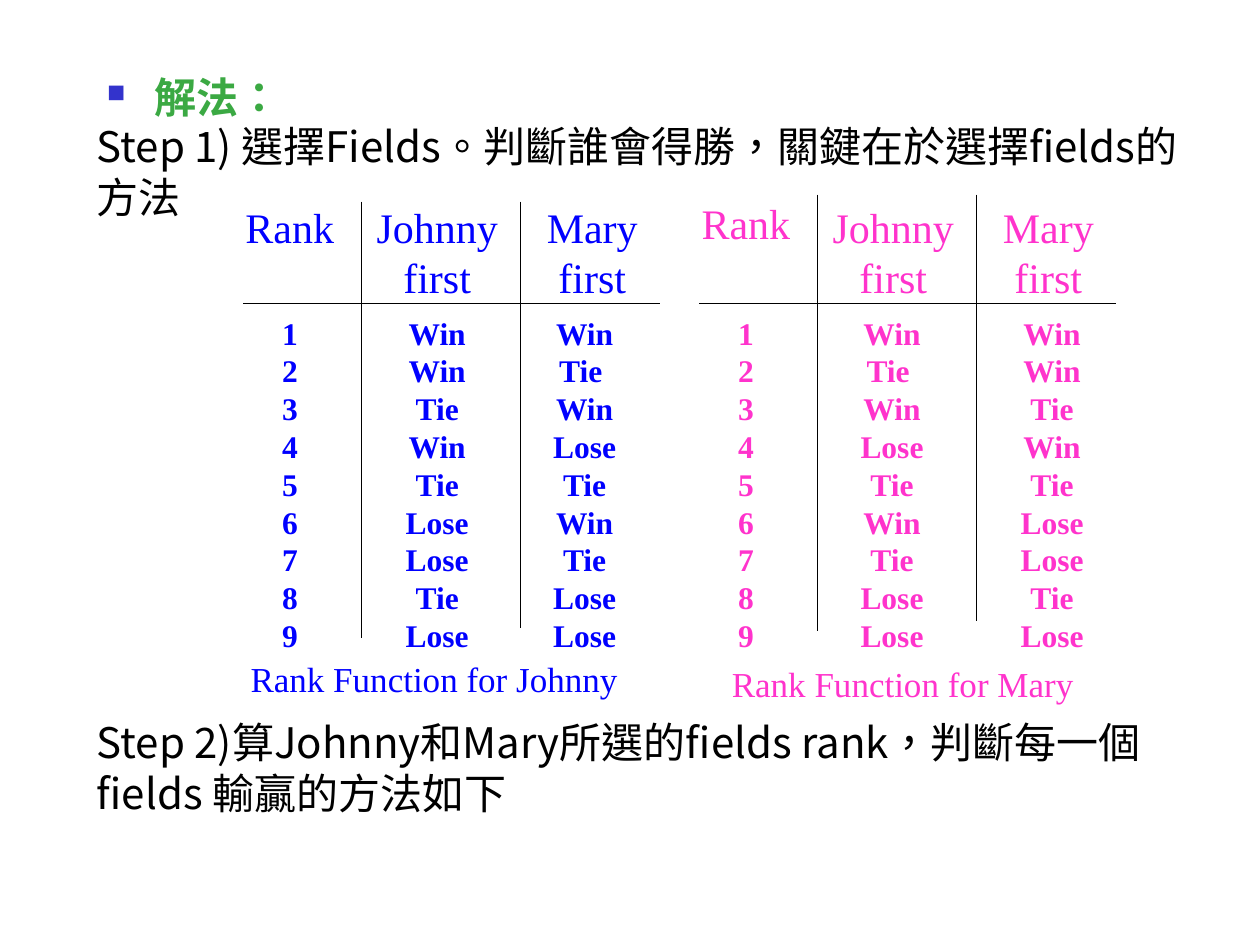
from lxml import etree
from pptx import Presentation
from pptx.dml.color import RGBColor
from pptx.enum.shapes import MSO_CONNECTOR
from pptx.enum.text import MSO_AUTO_SIZE, PP_ALIGN
from pptx.oxml.ns import qn
from pptx.util import Inches, Pt

STRAIGHT = MSO_CONNECTOR.STRAIGHT
LEFT, CENTER = PP_ALIGN.LEFT, PP_ALIGN.CENTER
GROW, FIXED = MSO_AUTO_SIZE.SHAPE_TO_FIT_TEXT, MSO_AUTO_SIZE.NONE

WIDTH, HEIGHT = Inches(10), Inches(7.5)
COLUMNS, ROWS = 100, 75
SERIF, SANS = "Times New Roman", "Noto Sans CJK SC"
COLORS = {
    "johnny": "0000FF",
    "mary": "FF33CC",
    "heading": "3BA943",
    "bullet": "3333CC",
    "ink": "000000",
}

HEADER = {"name": SERIF, "size": Pt(24), "bold": False}
OUTCOME = {"name": SERIF, "size": Pt(18), "bold": True}
CAPTION = {"name": SERIF, "size": Pt(20), "bold": False}
HEADING = {"name": SERIF, "size": Pt(24), "bold": True}
STEP = {"name": SANS, "size": Pt(24), "bold": False}

RANKS = [str(rank) for rank in range(1, 10)]
OWN_FIRST = ["Win", "Win", "Tie", "Win", "Tie", "Lose", "Lose", "Tie", "Lose"]
OTHER_FIRST = ["Win", "Tie ", "Win", "Lose", "Tie", "Win", "Tie", "Lose", "Lose"]

PANELS = [
    {"player": "Johnny", "color": "johnny", "left": 19.3,
     "outcomes": [(11.9, OWN_FIRST), (23.6, OTHER_FIRST)],
     "rank_top": 15.5, "rule_top": 16, "caption": (-0.4, 51.7, 32)},
    {"player": "Mary", "color": "mary", "left": 55.5,
     "outcomes": [(11.8, OTHER_FIRST), (24.5, OWN_FIRST)],
     "rank_top": 15.2, "rule_top": 15.45, "caption": (1.6, 52.1, 30)},
]


def across(columns):
    return round(WIDTH * columns / COLUMNS)


def down(rows):
    return round(HEIGHT * rows / ROWS)


def add_text(shapes, lines, place, style, color, align=LEFT, wrap=False, size=GROW):
    left, top, width, height = place
    box = shapes.add_textbox(across(left), down(top), across(width), down(height))
    frame = box.text_frame
    frame.text = "\n".join(lines)
    for key, value in {"word_wrap": wrap, "auto_size": size}.items():
        setattr(frame, key, value)
    for paragraph in frame.paragraphs:
        paragraph.alignment = align
        for run in paragraph.runs:
            for key, value in style.items():
                setattr(run.font, key, value)
            run.font.color.rgb = RGBColor.from_string(COLORS[color])
            properties = run.font._element
            properties.set("lang", "zh-TW")
            east_asian = etree.Element(qn("a:ea"), typeface=SANS)
            properties.find(qn("a:latin")).addnext(east_asian)
    return frame


def add_rule(shapes, start, end):
    rule = shapes.add_connector(
        STRAIGHT, across(start[0]), down(start[1]), across(end[0]), down(end[1]))
    rule.line.color.rgb = RGBColor.from_string(COLORS["ink"])
    rule.line.width = Pt(0.75)
    etree.SubElement(rule._element.spPr, qn("a:effectLst"))


def add_square_bullet(paragraph, indent):
    properties = paragraph._p.get_or_add_pPr()
    properties.set("marL", str(indent))
    properties.set("indent", str(-indent))
    bullet_color = etree.SubElement(properties, qn("a:buClr"))
    etree.SubElement(bullet_color, qn("a:srgbClr"), val=COLORS["bullet"])
    etree.SubElement(properties, qn("a:buSzPct"), val="60000")
    etree.SubElement(properties, qn("a:buChar"), char="■")


def add_rank_panel(slide, panel):
    shapes = slide.shapes.add_group_shape().shapes
    left, color = panel["left"], panel["color"]
    for player, offset, width in (("Johnny", 9.6, 11.6), ("Mary", 23.1, 9.2)):
        add_text(shapes, [player, "first"], (left + offset, 15.5, width, 9),
                 HEADER, color, CENTER)
    rule_top = panel["rule_top"]
    for offset, length in ((9.4, 34.65), (22, 33.85)):
        add_rule(shapes, (left + offset, rule_top), (left + offset, rule_top + length))
    add_rule(shapes, (left, 24.1), (left + 33.1, 24.1))
    add_text(shapes, ["Rank"], (left - 0.8, panel["rank_top"], 9.6, 5), HEADER, color)
    add_text(shapes, RANKS, (left + 2.1, 24.4, 3.2, 28), OUTCOME, color)
    for offset, outcomes in panel["outcomes"]:
        add_text(shapes, outcomes, (left + offset, 24.4, 7, 28), OUTCOME, color, CENTER)
    offset, top, width = panel["caption"]
    add_text(shapes, [f"Rank Function for {panel['player']}"],
             (left + offset, top, width, 4.4), CAPTION, color)


def main():
    presentation = Presentation()
    presentation.slide_width, presentation.slide_height = WIDTH, HEIGHT
    slide = presentation.slides.add_slide(presentation.slide_layouts[6])
    heading = add_text(slide.shapes, ["解法："], (7.5, 5.2, 85, 50.8), HEADING,
                       "heading", wrap=True, size=FIXED)
    add_square_bullet(heading.paragraphs[0], across(3.75))
    for panel in PANELS:
        add_rank_panel(slide, panel)
    steps = [
        ("Step 1) 選擇Fields。判斷誰會得勝，關鍵在於選擇fields的方法", 9.1, 91),
        ("Step 2)算Johnny和Mary所選的fields rank，判斷每一個fields 輸贏的方法如下", 56.4, 86.6),
    ]
    for wording, top, width in steps:
        add_text(slide.shapes, [wording], (6.7, top, width, 9), STEP, "ink", wrap=True)
    presentation.save("out.pptx")


if __name__ == "__main__":
    main()
